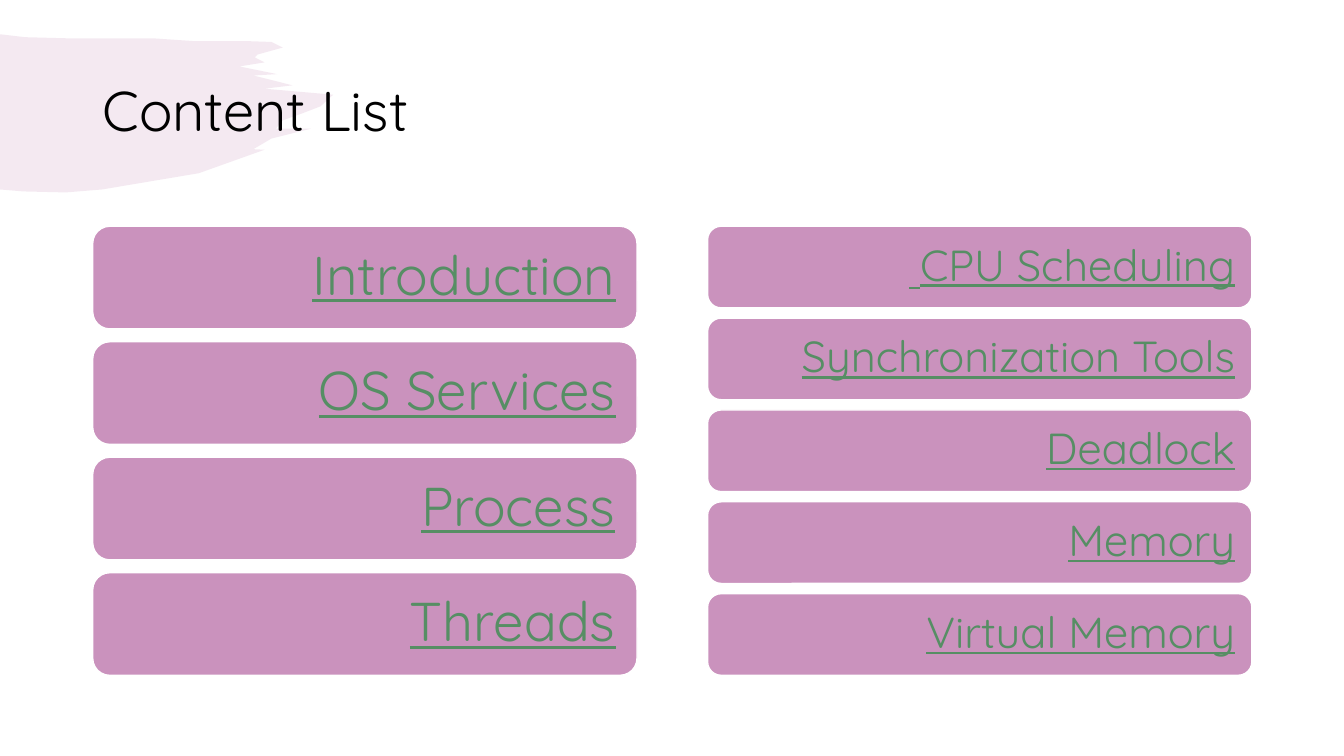
from lxml import etree
from pptx import Presentation
from pptx.dml.color import RGBColor
from pptx.enum.shapes import MSO_SHAPE
from pptx.enum.text import MSO_ANCHOR, PP_ALIGN
from pptx.oxml.ns import qn
from pptx.util import Pt

FONT = "Quicksand"
COLORS = {"mauve": "CA92BD", "green": "568E64", "black": "000000", "white": "FFFFFF"}

TITLE = "Content List"
COLUMNS = [
    {"left": 66.24, "size": 39,
     "topics": ["Introduction", "OS Services", "Process", "Threads"]},
    {"left": 505.44, "size": 31,
     "topics": ["CPU Scheduling ", "Synchronization Tools", "Deadlock", "Memory",
                "Virtual Memory"]},
]
CARD_WIDTH = 388.8
COLUMN_TOP, COLUMN_HEIGHT = 161.6, 320.8
GAP_RATIO = 1 / 8  # gap between cards, as a share of card height

# Brush stroke outline in points, clockwise from the top left
BRUSH = [
    (0, 24.5), (18, 26.6), (48, 27.4), (109, 27.4), (140, 29.5), (179, 29.5), (194, 30),
    (202, 34), (184, 39), (182, 41), (189, 44.6), (171, 47.5), (198, 53), (181, 54),
    (197, 58), (209, 61), (189, 63.4), (238, 67.7), (229, 76), (216, 81), (202, 86),
    (197, 92), (222, 92), (194, 99), (181, 106.6), (189, 107), (142, 123.8), (73, 135.4),
    (47, 137.5), (17, 136.8), (0, 135.4),
]


def color(name):
    return RGBColor.from_string(COLORS[name])


def add_brush(slide):
    outline = [(Pt(x), Pt(y)) for x, y in BRUSH]
    builder = slide.shapes.build_freeform(*outline[0])
    builder.add_line_segments(outline[1:], close=True)
    brush = builder.convert_to_shape()
    brush.shadow.inherit = False
    brush.line.fill.background()
    brush.fill.solid()
    brush.fill.fore_color.rgb = color("mauve")
    tint = brush.fill._xPr.find(qn("a:solidFill"))[0]
    etree.SubElement(tint, qn("a:alpha")).set("val", "20000")


def write(frame, text, size, color_name):
    frame.word_wrap = True
    frame.vertical_anchor = MSO_ANCHOR.MIDDLE
    frame.text = text
    paragraph = frame.paragraphs[0]
    paragraph.line_spacing = 0.9
    font = paragraph.runs[0].font
    font.name, font.size = FONT, Pt(size)
    font.color.rgb = color(color_name)
    return paragraph


def add_card(slide, topic, left, top, height, size):
    card = slide.shapes.add_shape(MSO_SHAPE.ROUNDED_RECTANGLE,
                                  Pt(left), Pt(top), Pt(CARD_WIDTH), Pt(height))
    card.shadow.inherit = False
    card.fill.solid()
    card.fill.fore_color.rgb = color("mauve")
    card.line.color.rgb = color("white")
    card.line.width = Pt(1)
    frame = card.text_frame
    inset = Pt(size * 0.3)
    frame.margin_left = frame.margin_right = inset
    frame.margin_top = frame.margin_bottom = inset
    label = write(frame, topic, size, "green")
    label.alignment = PP_ALIGN.RIGHT
    label._p.get_or_add_pPr().set("rtl", "1")
    label.runs[0].font.underline = True


def main():
    deck = Presentation()
    deck.slide_width, deck.slide_height = Pt(960), Pt(540)
    slide = deck.slides.add_slide(deck.slide_layouts[6])

    add_brush(slide)
    heading = slide.shapes.add_textbox(Pt(66.24), Pt(28.8), Pt(828), Pt(104.4))
    write(heading.text_frame, TITLE, 40, "black")

    for column in COLUMNS:
        count = len(column["topics"])
        height = COLUMN_HEIGHT / (count + (count - 1) * GAP_RATIO)
        for row, topic in enumerate(column["topics"]):
            top = COLUMN_TOP + row * height * (1 + GAP_RATIO)
            add_card(slide, topic, column["left"], top, height, column["size"])

    deck.save("out.pptx")


if __name__ == "__main__":
    main()
